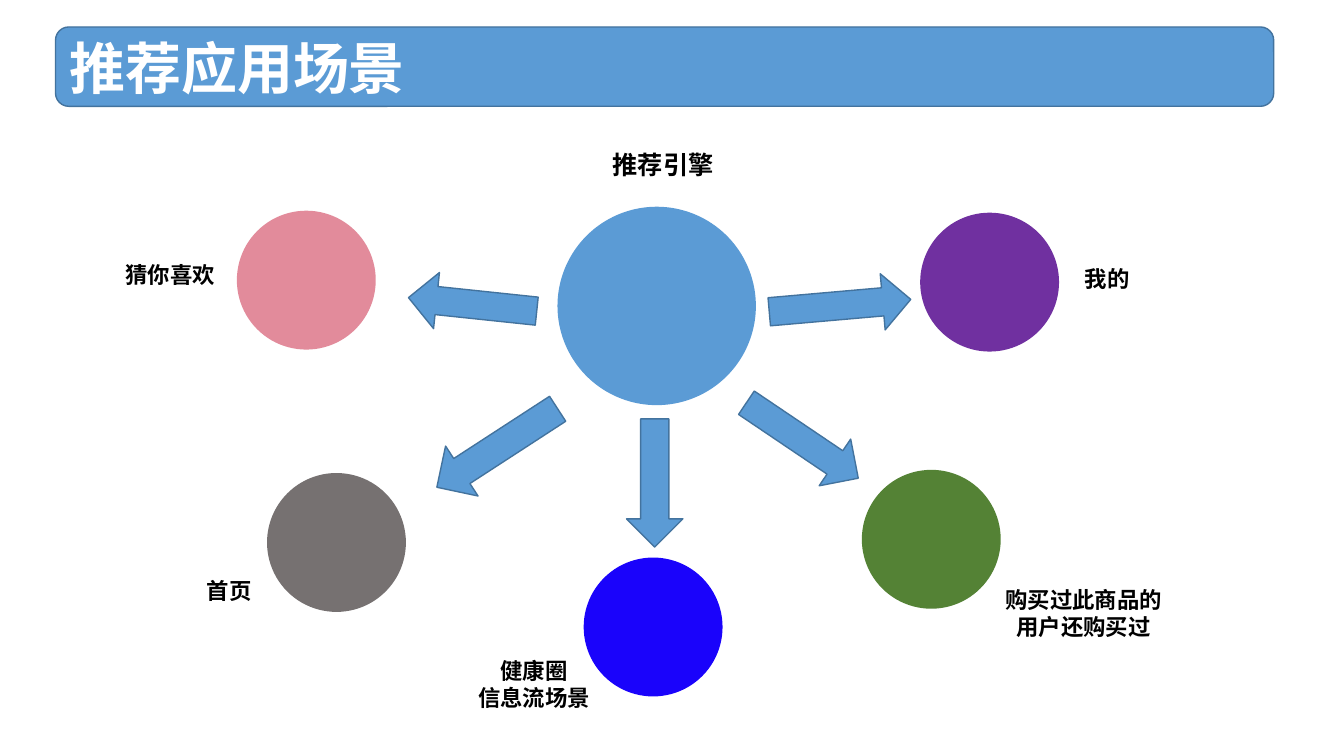
from collections import namedtuple
from dataclasses import dataclass

from pptx import Presentation
from pptx.dml.color import RGBColor
from pptx.enum.shapes import MSO_SHAPE
from pptx.enum.text import MSO_ANCHOR, PP_ALIGN
from pptx.util import Cm, Pt

OVAL = MSO_SHAPE.OVAL
ARROW = MSO_SHAPE.RIGHT_ARROW
ROUND = MSO_SHAPE.ROUNDED_RECTANGLE
MIDDLE = MSO_ANCHOR.MIDDLE
LEFT, CENTER = PP_ALIGN.LEFT, PP_ALIGN.CENTER

Box = namedtuple("Box", "left top width height")
Scene = namedtuple("Scene", "lines color disc label wide arrow length thick turn")


@dataclass(frozen=True)
class Theme:
    """Colours, fonts and type sizes."""
    blue: str = "5B9BD5"
    edge: str = "43739E"
    ink: str = "000000"
    white: str = "FFFFFF"
    pink: str = "E28B9B"
    purple: str = "7030A0"
    gray: str = "767171"
    green: str = "548235"
    deep: str = "1A03FB"
    head_font: str = "Noto Sans CJK SC"
    font: str = "Calibri"
    head: int = 40
    hub: int = 18
    label: int = 16


THEME = Theme()

SCENES = [
    Scene(["猜你喜欢"], THEME.pink, (-8.83, -0.65), (-12.26, -0.79), 3.1,
          (-4.64, -0.04), 3.25, 1.42, 186),
    Scene(["首页"], THEME.gray, (-8.07, 5.96), (-10.77, 7.19), 2.3,
          (-4.02, 3.58), 3.63, 1.5, 147),
    Scene(["健康圈", "信息流场景"], THEME.deep, (-0.09, 8.09), (-3.09, 9.54), 3.7,
          (-0.05, 4.46), 3.23, 1.42, 90),
    Scene(["购买过此商品的用户还购买过"], THEME.green, (6.92, 5.88), (10.76, 7.76), 4.6,
          (3.67, 3.39), 3.4, 1.42, 34),
    Scene(["我的"], THEME.purple, (8.39, -0.6), (11.35, -0.69), 2.3,
          (4.62, -0.01), 3.58, 1.42, 355),
]


def around(hub, shift, width, height):
    """Return the box centred at a shift from the hub."""
    return Box(hub[0] + shift[0] - width / 2, hub[1] + shift[1] - height / 2,
               width, height)


def add_form(slide, kind, box, color, edge=None):
    """Add a filled shape, outlined if an edge colour is given."""
    form = slide.shapes.add_shape(kind, *map(Cm, box))
    form.shadow.inherit = False
    form.fill.solid()
    form.fill.fore_color.rgb = RGBColor.from_string(color)
    if edge:
        form.line.color.rgb = RGBColor.from_string(edge)
        form.line.width = Pt(1)
    else:
        form.line.fill.background()
    return form


def write(frame, lines, font, size, color, align):
    """Write bold lines, one paragraph each."""
    frame.word_wrap = True
    for row, line in enumerate(lines):
        para = frame.add_paragraph() if row else frame.paragraphs[0]
        para.text = line
        para.alignment = align
        para.font.name = font
        para.font.size = Pt(size)
        para.font.bold = True
        para.font.color.rgb = RGBColor.from_string(color)


def add_label(slide, box, lines, size):
    """Add a centred label."""
    label = slide.shapes.add_textbox(*map(Cm, box))
    write(label.text_frame, lines, THEME.font, size, THEME.ink, CENTER)


def add_title(slide, box, text):
    """Draw the title bar."""
    bar = add_form(slide, ROUND, box, THEME.blue, THEME.edge)
    bar.text_frame.vertical_anchor = MIDDLE
    write(bar.text_frame, [text], THEME.head_font, THEME.head, THEME.white, LEFT)


def add_scene(slide, hub, scene):
    """Draw one scene: its disc, label and arrow from the hub."""
    add_form(slide, OVAL, around(hub, scene.disc, 3.5, 3.5), scene.color)
    tall = 0.94 if scene.wide < 3.5 else 1.63
    add_label(slide, around(hub, scene.label, scene.wide, tall),
              scene.lines, THEME.label)
    arrow = add_form(slide, ARROW,
                     around(hub, scene.arrow, scene.length, scene.thick),
                     THEME.blue, THEME.edge)
    arrow.rotation = scene.turn


def add_engine(slide, box, text, scenes):
    """Draw the hub at the top centre of the box, with scenes around it."""
    hub = box.left + box.width / 2, box.top + 4.08
    add_form(slide, OVAL, around(hub, (0, 0), 5, 5), THEME.blue)
    add_label(slide, around(hub, (0.16, -3.57), 3.5, 1.02), [text], THEME.hub)
    for scene in scenes:
        add_scene(slide, hub, scene)


def main():
    """Build and save the slide."""
    deck = Presentation()
    deck.slide_width, deck.slide_height = Cm(33.87), Cm(19.05)
    slide = deck.slides.add_slide(deck.slide_layouts[6])
    add_title(slide, Box(1.4, 0.68, 30.7, 2), "推荐应用场景")
    add_engine(slide, Box(2.75, 3.63, 27.6, 14.4), "推荐引擎", SCENES)
    deck.save("out.pptx")


if __name__ == "__main__":
    main()
